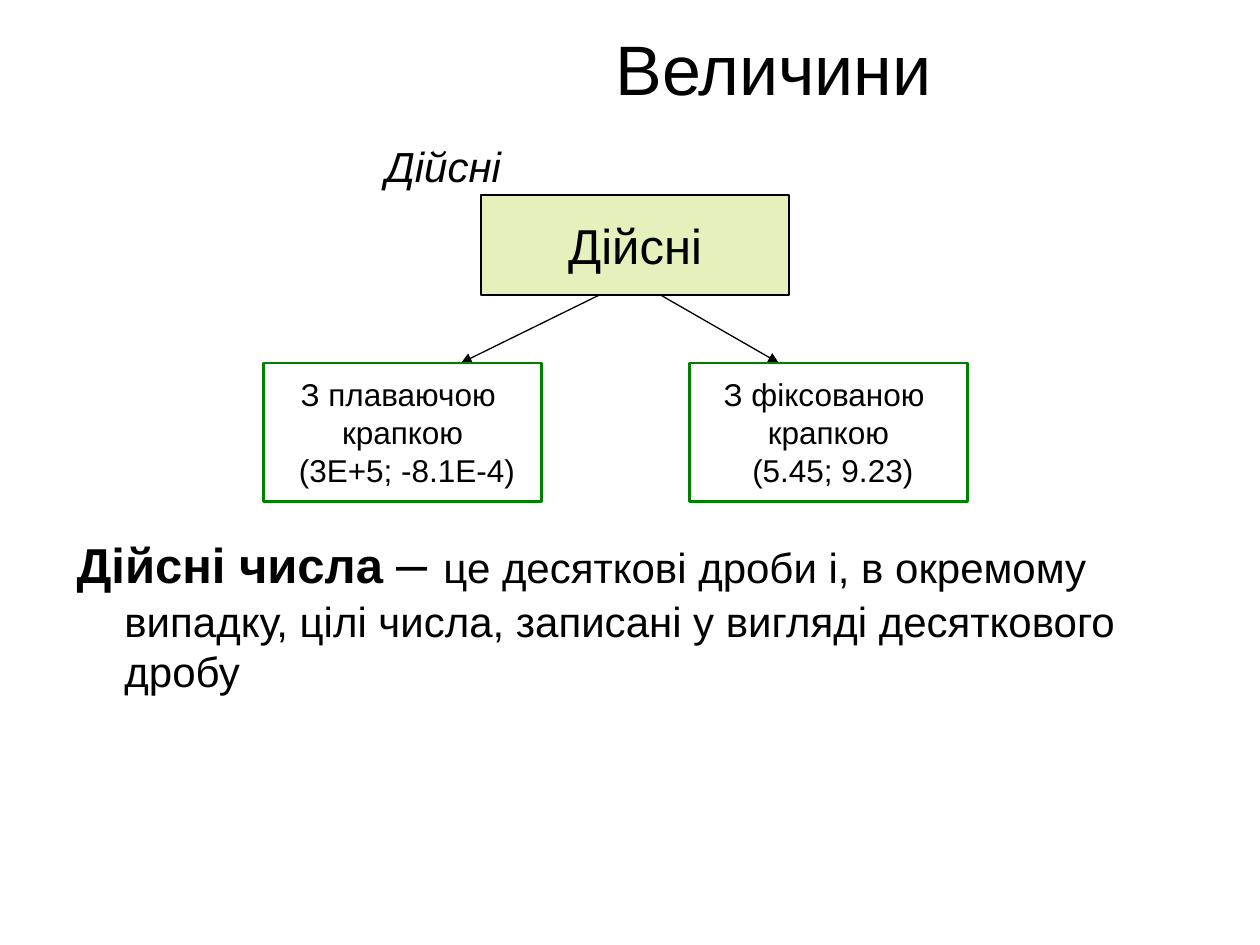
from pptx import Presentation, util as u
from pptx.dml.color import RGBColor
from pptx.enum import shapes, text
from pptx.oxml.ns import qn
from lxml import etree

# Content
TITLE = "Величини"
SUBTITLE = "Дійсні"
ROOT = "Дійсні"
KINDS = [
    ["З плаваючою ", "крапкою", " (3Е+5; -8.1Е-4)"],
    ["З фіксованою ", "крапкою", " (5.45; 9.23)"],
]
DEFINITION = [
    ("Дійсні числа ", {"size": u.Pt(28), "bold": True}),
    ("– ", {"size": u.Pt(32)}),
    ("це десяткові дроби і, в окремому випадку, цілі числа, "
     "записані у вигляді десяткового дробу", {"size": u.Pt(24)}),
]

# Layout, in inches
TITLE_BOX = (2.48, 0, 7.32, 1.07)
SUBTITLE_BOX = (2.96, 1.07, 1.12, 0.5)
ROOT_BOX = (3.82, 1.55, 2.44, 0.79)
KIND_LEFT, KIND_TOP, KIND_STEP = 2.09, 2.88, 3.38
KIND_SIZE = (2.21, 1.1)
DEFINITION_BOX = (0.51, 4.14, 9, 2.87)
HANGING = 0.38
ARROWS = [(4.76, 3.66), (5.24, 6.18)]  # x at the root, x at the kind
ARROW_TOP = ROOT_BOX[1] + ROOT_BOX[3]

BLACK, GREEN, LIME = "000000", "008000", "99CC00"
CENTER, LEFT = text.PP_ALIGN.CENTER, text.PP_ALIGN.LEFT
MIDDLE, TOP = text.MSO_ANCHOR.MIDDLE, text.MSO_ANCHOR.TOP


def color(hex_value):
    return RGBColor.from_string(hex_value)


def inches(values):
    return [u.Inches(v) for v in values]


def apply(target, values):
    for name, value in values.items():
        setattr(target, name, value)


def write(shape, lines, align=LEFT, anchor=TOP, wrap=False, before=0):
    """Each line is a list of (wording, font values) runs."""
    frame = shape.text_frame
    apply(frame, {"word_wrap": wrap, "vertical_anchor": anchor,
                  "auto_size": text.MSO_AUTO_SIZE.NONE})
    for i, runs in enumerate(lines):
        paragraph = frame.add_paragraph() if i else frame.paragraphs[0]
        apply(paragraph, {"alignment": align, "space_before": u.Pt(before)})
        for wording, font in runs:
            run = paragraph.add_run()
            run.text = wording
            apply(run.font, {"name": "Arial", **font})
            run.font.color.rgb = color(BLACK)


def add_box(slide, box, lines, size, line_color, line_width):
    rect = slide.shapes.add_shape(shapes.MSO_SHAPE.RECTANGLE, *inches(box))
    rect.shadow.inherit = False
    rect.fill.background()
    rect.line.color.rgb = color(line_color)
    rect.line.width = u.Pt(line_width)
    write(rect, [[(line, {"size": u.Pt(size)})] for line in lines],
          CENTER, MIDDLE)
    return rect


def add_arrow(slide, start, end):
    arrow = slide.shapes.add_connector(
        shapes.MSO_CONNECTOR.STRAIGHT, *inches(start + end))
    arrow.line.color.rgb = color(BLACK)
    arrow.line.width = u.Pt(0.75)
    etree.SubElement(arrow.line._get_or_add_ln(), qn("a:tailEnd"),
                     type="triangle")
    etree.SubElement(arrow._element.spPr, qn("a:effectLst"))


def main():
    deck = Presentation()
    deck.slide_width, deck.slide_height = inches((10, 7.5))
    slide = deck.slides.add_slide(deck.slide_layouts[5])

    # Title
    title = slide.shapes.title
    apply(title, dict(zip(("left", "top", "width", "height"),
                          inches(TITLE_BOX))))
    write(title, [[(TITLE, {"size": u.Pt(40)})]], CENTER, MIDDLE, wrap=True)

    # Definition with a hanging indent
    definition = slide.shapes.add_textbox(*inches(DEFINITION_BOX))
    write(definition, [DEFINITION], wrap=True, before=6)
    indent = u.Inches(HANGING)
    properties = definition.text_frame.paragraphs[0]._p.get_or_add_pPr()
    properties.set("marL", str(indent))
    properties.set("indent", str(-indent))

    # Subtitle
    subtitle = slide.shapes.add_textbox(*inches(SUBTITLE_BOX))
    write(subtitle, [[(SUBTITLE, {"size": u.Pt(24), "italic": True})]],
          before=6)

    # Root of the tree, with a translucent fill
    root = add_box(slide, ROOT_BOX, [ROOT], 28, BLACK, 1)
    root.fill.solid()
    root.fill.fore_color.rgb = color(LIME)
    fill_color = root._element.spPr.find(".//" + qn("a:srgbClr"))
    etree.SubElement(fill_color, qn("a:alpha"), val="26000")

    # Branches
    for i, (lines, (x_root, x_kind)) in enumerate(zip(KINDS, ARROWS)):
        add_arrow(slide, (x_root, ARROW_TOP), (x_kind, KIND_TOP))
        box = (KIND_LEFT + i * KIND_STEP, KIND_TOP) + KIND_SIZE
        add_box(slide, box, lines, 18, GREEN, 1.5)

    deck.save("out.pptx")


if __name__ == "__main__":
    main()
